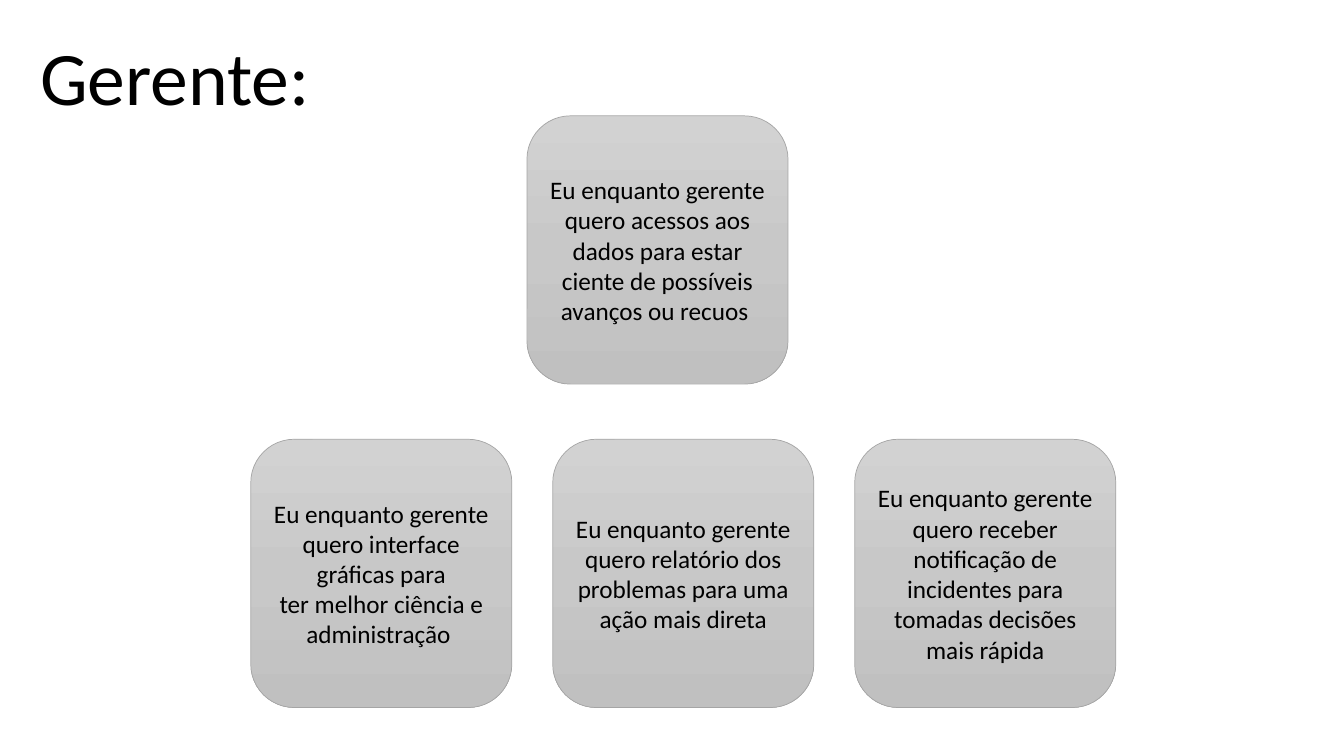
import copy
import pptx
import pptx.util
import pptx.dml.color
import pptx.enum.shapes
import pptx.enum.text
import pptx.oxml.ns

Cm, Pt = pptx.util.Cm, pptx.util.Pt

TITLE = "Gerente:"
TOP_STORY = ["Eu enquanto gerente quero acessos aos dados para estar ciente de possíveis avanços ou recuos "]
ROW_STORIES = [
    ["Eu enquanto gerente quero interface gráficas para", "ter melhor ciência e administração "],
    ["Eu enquanto gerente quero relatório dos problemas para uma ação mais direta"],
    ["Eu enquanto gerente quero receber notificação de incidentes para tomadas decisões mais rápida"],
]
COLOURS = {"text": "000000", "line": "A5A5A5", "light": "D2D2D2", "middle": "C8C8C8", "dark": "C0C0C0"}
CARD_WIDTH, CARD_HEIGHT = 6.58, 6.76
ROW_LEFT, ROW_TOP, ROW_PITCH = 6.32, 11.07, 7.61
TOP_LEFT, TOP_TOP = 13.28, 2.92


def colour(name):
    return pptx.dml.color.RGBColor.from_string(COLOURS[name])


def write(frame, lines, size, alignment):
    frame.word_wrap = True
    for index, line in enumerate(lines):
        para = frame.paragraphs[0] if index == 0 else frame.add_paragraph()
        para.alignment = alignment
        span = para.add_run()
        span.text = line
        for name, value in {"name": "Calibri", "size": Pt(size)}.items():
            setattr(span.font, name, value)
        span.font.color.rgb = colour("text")


def shade(fill):
    fill.gradient()
    fill.gradient_angle = 270


def add_card(page, lines, left, top):
    card = page.shapes.add_shape(
        pptx.enum.shapes.MSO_SHAPE.ROUNDED_RECTANGLE, Cm(left), Cm(top), Cm(CARD_WIDTH), Cm(CARD_HEIGHT))
    card.shadow.inherit = False
    shade(card.fill)
    stop_list = card._element.spPr.find(".//" + pptx.oxml.ns.qn("a:gsLst"))
    stop_list.insert(1, copy.deepcopy(stop_list[0]))
    for stop, name, position in zip(card.fill.gradient_stops, ("light", "middle", "dark"), (0, 0.5, 1)):
        stop.color.rgb = colour(name)
        stop.position = position
    card.line.color.rgb = colour("line")
    card.line.width = Pt(0.5)
    card.text_frame.vertical_anchor = pptx.enum.text.MSO_ANCHOR.MIDDLE
    write(card.text_frame, lines, 18, pptx.enum.text.PP_ALIGN.CENTER)


def main():
    """Build the slide with the manager's user stories."""
    deck = pptx.Presentation()
    deck.slide_width, deck.slide_height = Cm(33.87), Cm(19.05)
    page = deck.slides.add_slide(deck.slide_layouts[6])
    box = page.shapes.add_textbox(Cm(0.76), Cm(0.64), Cm(8.84), Cm(2.57))
    write(box.text_frame, [TITLE], 54, pptx.enum.text.PP_ALIGN.LEFT)
    add_card(page, TOP_STORY, TOP_LEFT, TOP_TOP)
    for column, lines in enumerate(ROW_STORIES):
        add_card(page, lines, ROW_LEFT + column * ROW_PITCH, ROW_TOP)
    deck.save("out.pptx")


if __name__ == "__main__":
    main()
